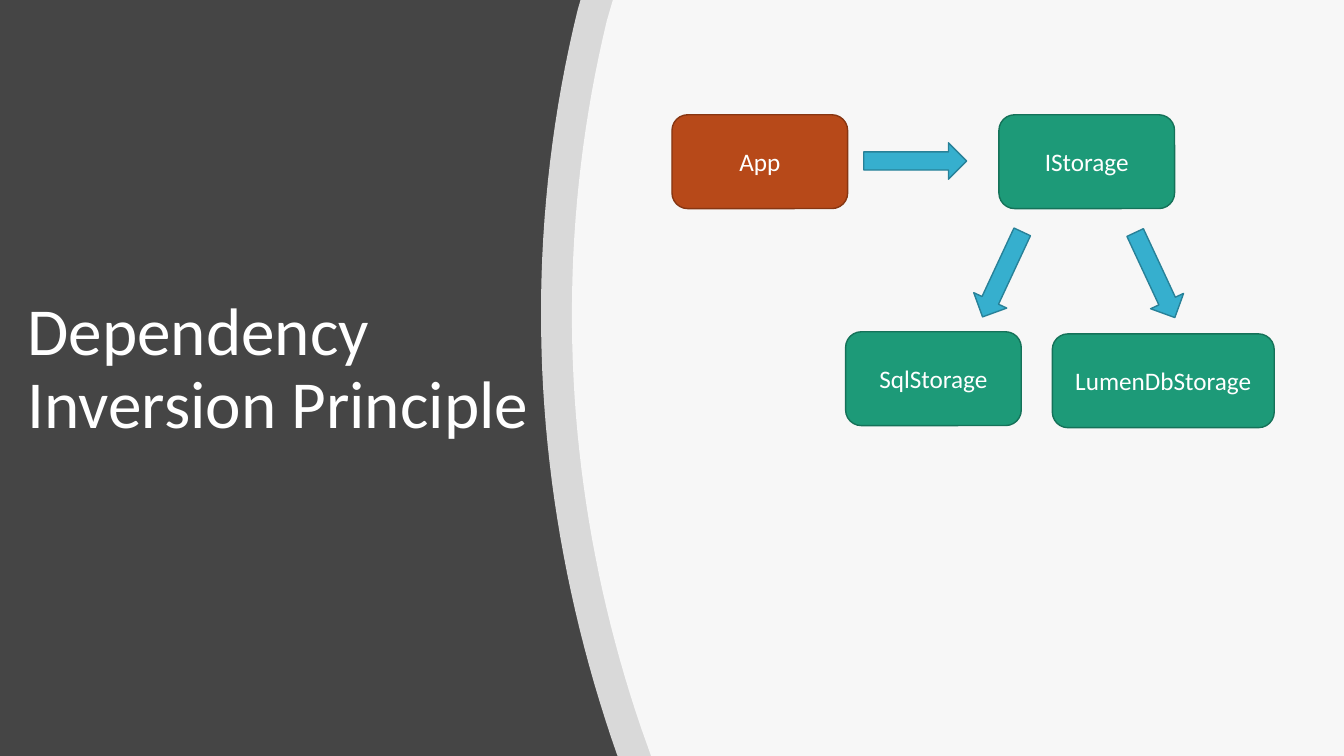
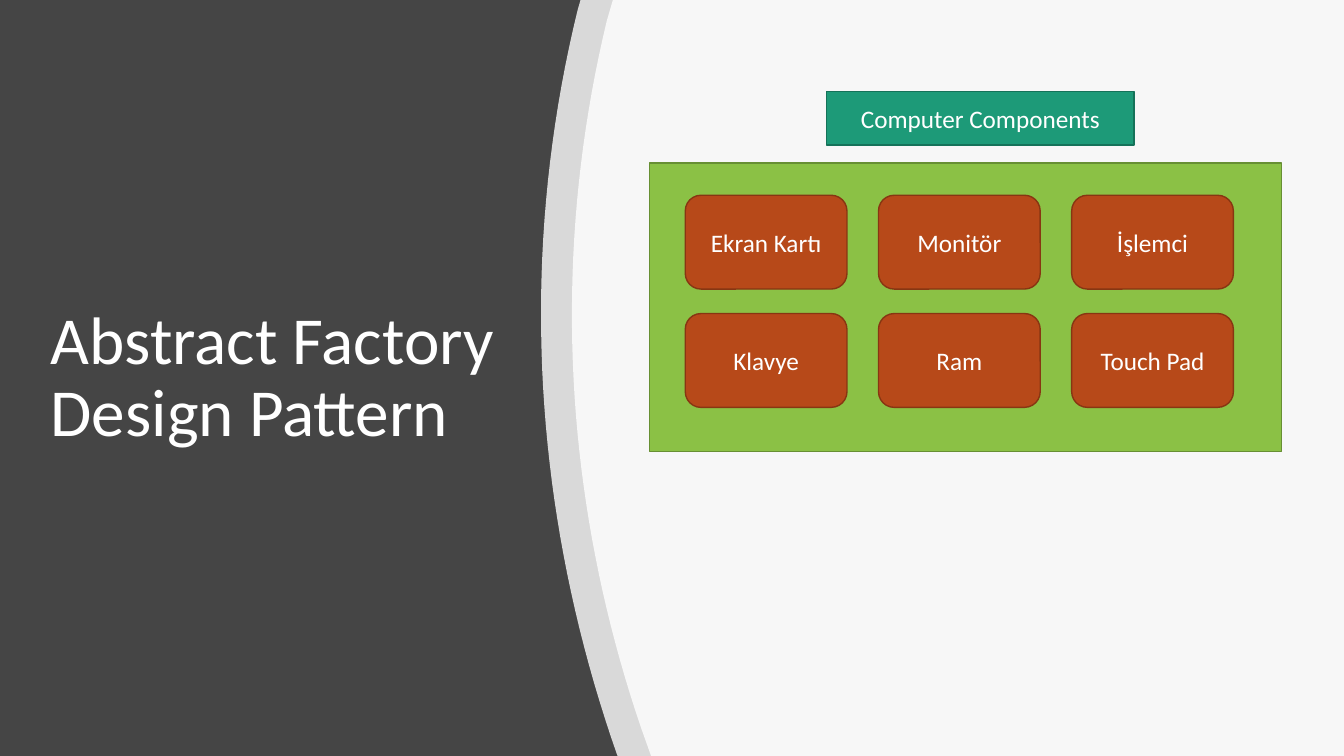
"""Build two slides on the dependency inversion principle and the abstract factory pattern."""
import lxml.etree
import pptx
import pptx.dml.color
import pptx.enum.shapes
import pptx.enum.text
import pptx.oxml.ns
import pptx.util

Pt = pptx.util.Pt
Shape = pptx.enum.shapes.MSO_SHAPE
Align = pptx.enum.text.PP_ALIGN

COLORS = {
    "background": "454545",
    "white": "FFFFFF",
    "rust": "B74919",
    "rust line": "873612",
    "teal": "1D9A78",
    "teal line": "157259",
    "blue": "36AFCE",
    "blue line": "288198",
    "green": "8BC145",
    "green line": "678F33",
}
WIDTH, HEIGHT = 960, 540
BAND_OPACITY = 80
CURVE_STEPS = 40
OUTER_BAND = {"top": (414.7, 0), "bottom": (441.2, HEIGHT),
              "curve": [(440.6, 538.6), (381.6, 370.1), (368.6, 187.2), (412.6, 7.2)]}
INNER_BAND = {"top": (437.8, 0), "bottom": (465.1, HEIGHT),
              "curve": [(457.9, 519.8), (403.2, 359.3), (392.4, 185.8), (433.4, 15.1)]}


def rgb(name):
    return pptx.dml.color.RGBColor.from_string(COLORS[name])


def write_text(text_frame, text, size=18, color="white", align=Align.CENTER, spacing=1.0):
    text_frame.word_wrap = True
    text_frame.auto_size = pptx.enum.text.MSO_AUTO_SIZE.NONE
    text_frame.vertical_anchor = pptx.enum.text.MSO_ANCHOR.MIDDLE
    paragraph = text_frame.paragraphs[0]
    paragraph.alignment = align
    paragraph.line_spacing = spacing
    for index, line in enumerate(text.splitlines()):
        if index:
            paragraph.add_line_break()
        run = paragraph.add_run()
        run.text = line
        run.font.name = "Calibri"
        run.font.size = Pt(size)
        run.font.color.rgb = rgb(color)


def curve_points(start, control_1, control_2, end):
    points = []
    for step in range(CURVE_STEPS + 1):
        t = step / CURVE_STEPS
        weights = ((1 - t) ** 3, 3 * t * (1 - t) ** 2, 3 * t ** 2 * (1 - t), t ** 3)
        points.append(tuple(
            sum(weight * value for weight, value in zip(weights, values))
            for values in zip(start, control_1, control_2, end)
        ))
    return points


class Deck:
    """Holds the presentation style and the current slide."""

    def __init__(self):
        self.presentation = pptx.Presentation()
        self.presentation.slide_width = Pt(WIDTH)
        self.presentation.slide_height = Pt(HEIGHT)
        fill = self.presentation.slide_master.background.fill
        fill.solid()
        fill.fore_color.rgb = rgb("background")
        self.slide = None

    def add_slide(self, title, left, top):
        layout = self.presentation.slide_layouts.get_by_name("Title Only")
        self.slide = self.presentation.slides.add_slide(layout)
        shape = self.slide.shapes.title
        shape.left, shape.top, shape.width, shape.height = Pt(left), Pt(top), Pt(391), Pt(345)
        write_text(shape.text_frame, title, size=48, align=Align.LEFT, spacing=0.9)
        for band in (OUTER_BAND, INNER_BAND):
            self.add_band(**band)

    def add_band(self, top, bottom, curve):
        outline = [(WIDTH, 0), (WIDTH, HEIGHT), bottom] + curve_points(*curve)
        builder = self.slide.shapes.build_freeform(Pt(top[0]), Pt(top[1]))
        builder.add_line_segments([(Pt(x), Pt(y)) for x, y in outline], close=True)
        shape = builder.convert_to_shape()
        shape.shadow.inherit = False
        shape.fill.solid()
        shape.fill.fore_color.rgb = rgb("white")
        shape.line.fill.background()
        color = shape.fill._xPr.find(".//" + pptx.oxml.ns.qn("a:srgbClr"))
        alpha = lxml.etree.SubElement(color, pptx.oxml.ns.qn("a:alpha"))
        alpha.set("val", str(BAND_OPACITY * 1000))

    def add_box(self, left, top, width, height, color, text="", kind=Shape.ROUNDED_RECTANGLE):
        shape = self.slide.shapes.add_shape(kind, Pt(left), Pt(top), Pt(width), Pt(height))
        shape.shadow.inherit = False
        shape.fill.solid()
        shape.fill.fore_color.rgb = rgb(color)
        shape.line.color.rgb = rgb(color + " line")
        shape.line.width = Pt(1)
        if text:
            write_text(shape.text_frame, text)
        return shape

    def add_arrow(self, left, top, width, rotation=0):
        shape = self.add_box(left, top, width, 26, "blue", kind=Shape.RIGHT_ARROW)
        shape.rotation = rotation


def add_dependency_slide(deck):
    deck.add_slide("Dependency Inversion Principle", 12.5, 92)
    for text, left, top, width, color in (
        ("App", 480, 82, 125.5, "rust"),
        ("IStorage", 713.5, 82, 125.5, "teal"),
        ("SqlStorage", 604, 237, 125.5, "teal"),
        ("LumenDbStorage", 751.7, 238.5, 158.5, "teal"),
    ):
        deck.add_box(left, top, width, 67, color, text)
    deck.add_arrow(617, 102, 73.5)
    deck.add_arrow(682.5, 183, 67, rotation=115)
    deck.add_arrow(791.5, 183.5, 67, rotation=65)


def add_factory_slide(deck):
    deck.add_slide("Abstract Factory\nDesign Pattern", 29, 98)
    deck.add_box(464, 116.5, 451.5, 206, "green", kind=Shape.RECTANGLE)
    components = (("Ekran Kartı", "Monitör", "İşlemci"), ("Klavye", "Ram", "Touch Pad"))
    for row, names in enumerate(components):
        for column, name in enumerate(names):
            deck.add_box(489.5 + 138 * column, 139.5 + 84.5 * row, 115.5, 67, "rust", name)
    deck.add_box(590.5, 65.5, 219.5, 38, "teal", "Computer Components", Shape.RECTANGLE)


def main():
    deck = Deck()
    add_dependency_slide(deck)
    add_factory_slide(deck)
    deck.presentation.save("out.pptx")


if __name__ == "__main__":
    main()
